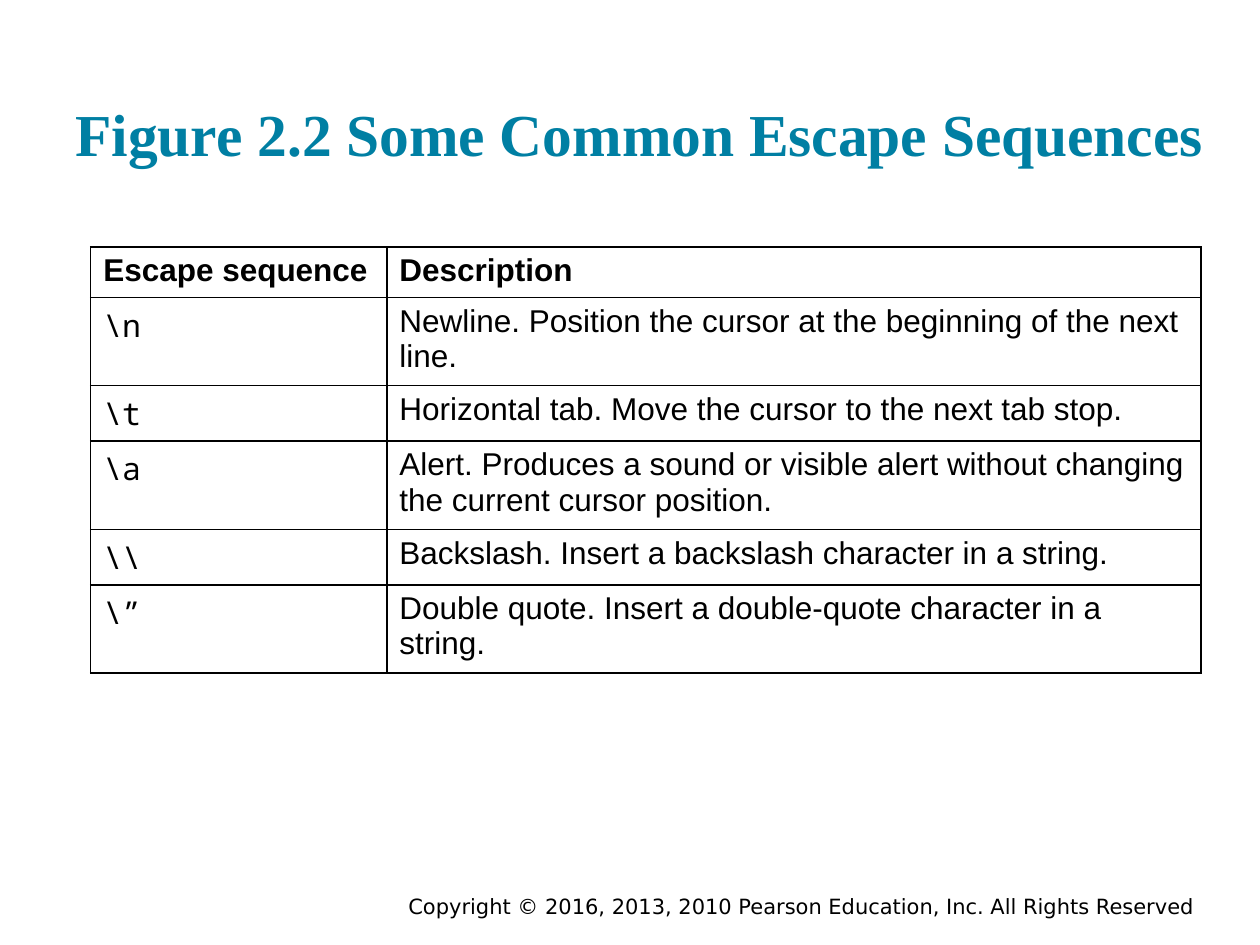
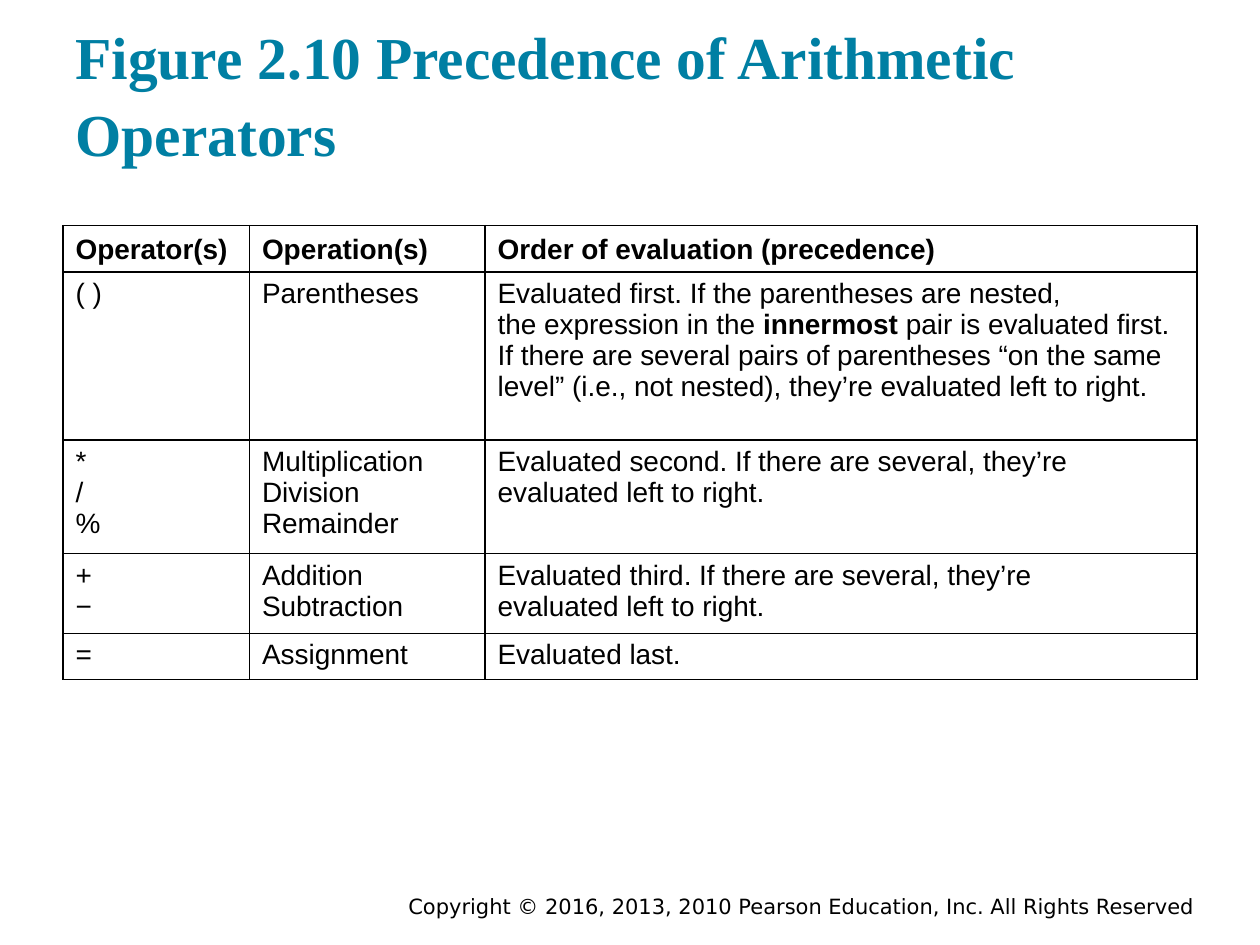
from dataclasses import dataclass

from lxml.etree import SubElement
from pptx import Presentation
from pptx.dml.color import RGBColor
from pptx.enum.text import MSO_ANCHOR as Anchor, MSO_AUTO_SIZE as AutoSize, PP_ALIGN as Align
from pptx.oxml.ns import qn
from pptx.slide import Slide
from pptx.table import _Cell as Cell
from pptx.util import Pt

TEAL, BLACK, WHITE = "007FA3", "000000", "FFFFFF"
SERIF, SANS, MONO, FOOTER_FONT = "Times New Roman", "Arial", "Noto Sans Mono", "DejaVu Sans"
COPYRIGHT = "Copyright © 2016, 2013, 2010 Pearson Education, Inc. All Rights Reserved"
TITLE_ONLY = 5
BOLD_MARK = "**"


@dataclass
class Column:
    heading: str
    width: float
    font: str = SANS


@dataclass
class Row:
    height: float
    texts: tuple[str, ...]


@dataclass
class TableSlide:
    title: str
    title_width: float
    left: float
    top: float
    size: float
    header_height: float
    header_anchor: Anchor
    columns: list[Column]
    rows: list[Row]


ESCAPES = TableSlide(
    "Figure 2.2 Some Common Escape Sequences", 661, 51.84, 141.12, 18, 27.4, Anchor.TOP,
    [Column("Escape sequence", 169.2, MONO), Column("Description", 465.12)],
    [
        Row(47.6, (r"\n", "Newline. Position the cursor at the beginning of the next line.")),
        Row(31.7, (r"\t", "Horizontal tab. Move the cursor to the next tab stop.")),
        Row(47.6, (r"\a", "Alert. Produces a sound or visible alert without changing "
                          "the current cursor position.")),
        Row(31.7, (r"\\", "Backslash. Insert a backslash character in a string.")),
        Row(47.6, (r"\”", "Double quote. Insert a double-quote character in a string.")),
    ],
)

PRECEDENCE = TableSlide(
    "Figure 2.10 Precedence of Arithmetic Operators", 648, 36, 128.88, 16, 26.64, Anchor.BOTTOM,
    [Column("Operator(s)", 106.56), Column("Operation(s)", 134.64),
     Column("Order of evaluation (precedence)", 406.8)],
    [
        Row(96, ("( )", "Parentheses",
                 "Evaluated first. If the parentheses are nested,\n"
                 "the expression in the **innermost **pair is evaluated first. "
                 "If there are several pairs of parentheses “on the same level” "
                 "(i.e., not nested), they’re evaluated left to right.")),
        Row(60.6, ("*\n/\n%", "Multiplication\nDivision\nRemainder",
                   "Evaluated second. If there are several, they’re\nevaluated left to right.")),
        Row(42.9, ("+\n−", "Addition\nSubtraction",
                   "Evaluated third. If there are several, they’re\nevaluated left to right.")),
        Row(24.9, ("=", "Assignment", "Evaluated last.")),
    ],
)


def color(value: str) -> RGBColor:
    return RGBColor.from_string(value)


def add_span(para, text: str, font: str, size: float, tint: str = BLACK, bold: bool = False) -> None:
    span = para.add_run()
    span.text = text
    span.font.name = font
    span.font.size = Pt(size)
    span.font.bold = bold
    span.font.color.rgb = color(tint)


def add_title(page: Slide, text: str, width: float) -> None:
    box = page.shapes.title
    box.left, box.top, box.width, box.height = Pt(36), Pt(17.28), Pt(width), Pt(86.4)
    frame = box.text_frame
    frame.auto_size = AutoSize.NONE
    frame.word_wrap = True
    frame.vertical_anchor = Anchor.BOTTOM
    frame.margin_left = frame.margin_right = frame.margin_top = frame.margin_bottom = Pt(7.2)
    para = frame.paragraphs[0]
    para.alignment = Align.LEFT
    para.line_spacing = 1.09
    add_span(para, text, SERIF, 34, TEAL, True)


def add_footer(page: Slide) -> None:
    frame = page.shapes.add_textbox(Pt(211), Pt(509.76), Pt(478.8), Pt(15.84)).text_frame
    frame.word_wrap = True
    frame.vertical_anchor = Anchor.MIDDLE
    para = frame.paragraphs[0]
    para.alignment = Align.RIGHT
    add_span(para, COPYRIGHT, FOOTER_FONT, 12)


def format_cell(cell: Cell) -> None:
    properties = cell._tc.get_or_add_tcPr()
    for side in ("lnL", "lnR", "lnT", "lnB"):
        line = SubElement(properties, qn(f"a:{side}"), w=str(Pt(1)))
        SubElement(SubElement(line, qn("a:solidFill")), qn("a:srgbClr"), val=BLACK)
    cell.fill.solid()
    cell.fill.fore_color.rgb = color(WHITE)


def fill_cell(cell: Cell, text: str, font: str, size: float, bold: bool) -> None:
    format_cell(cell)
    frame = cell.text_frame
    for index, line in enumerate(text.split("\n")):
        para = frame.add_paragraph() if index else frame.paragraphs[0]
        for part, words in enumerate(line.split(BOLD_MARK)):
            add_span(para, words, font, size, bold=bold or part % 2 == 1)


def add_grid(page: Slide, content: TableSlide) -> None:
    headings = tuple(column.heading for column in content.columns)
    rows = [Row(content.header_height, headings), *content.rows]
    width = sum(column.width for column in content.columns)
    height = sum(row.height for row in rows)
    table = page.shapes.add_table(len(rows), len(content.columns), Pt(content.left),
                                  Pt(content.top), Pt(width), Pt(height)).table
    table.horz_banding = False
    for index, column in enumerate(content.columns):
        table.columns[index].width = Pt(column.width)
    for row_index, row in enumerate(rows):
        table.rows[row_index].height = Pt(row.height)
        is_header = row_index == 0
        for column_index, text in enumerate(row.texts):
            cell = table.cell(row_index, column_index)
            font = SANS if is_header else content.columns[column_index].font
            fill_cell(cell, text, font, content.size, is_header)
            cell.vertical_anchor = content.header_anchor if is_header else Anchor.TOP


def main() -> None:
    deck = Presentation()
    deck.slide_width, deck.slide_height = Pt(720), Pt(540)
    for content in (ESCAPES, PRECEDENCE):
        page = deck.slides.add_slide(deck.slide_layouts[TITLE_ONLY])
        add_footer(page)
        add_title(page, content.title, content.title_width)
        add_grid(page, content)
    deck.save("out.pptx")


if __name__ == "__main__":
    main()
